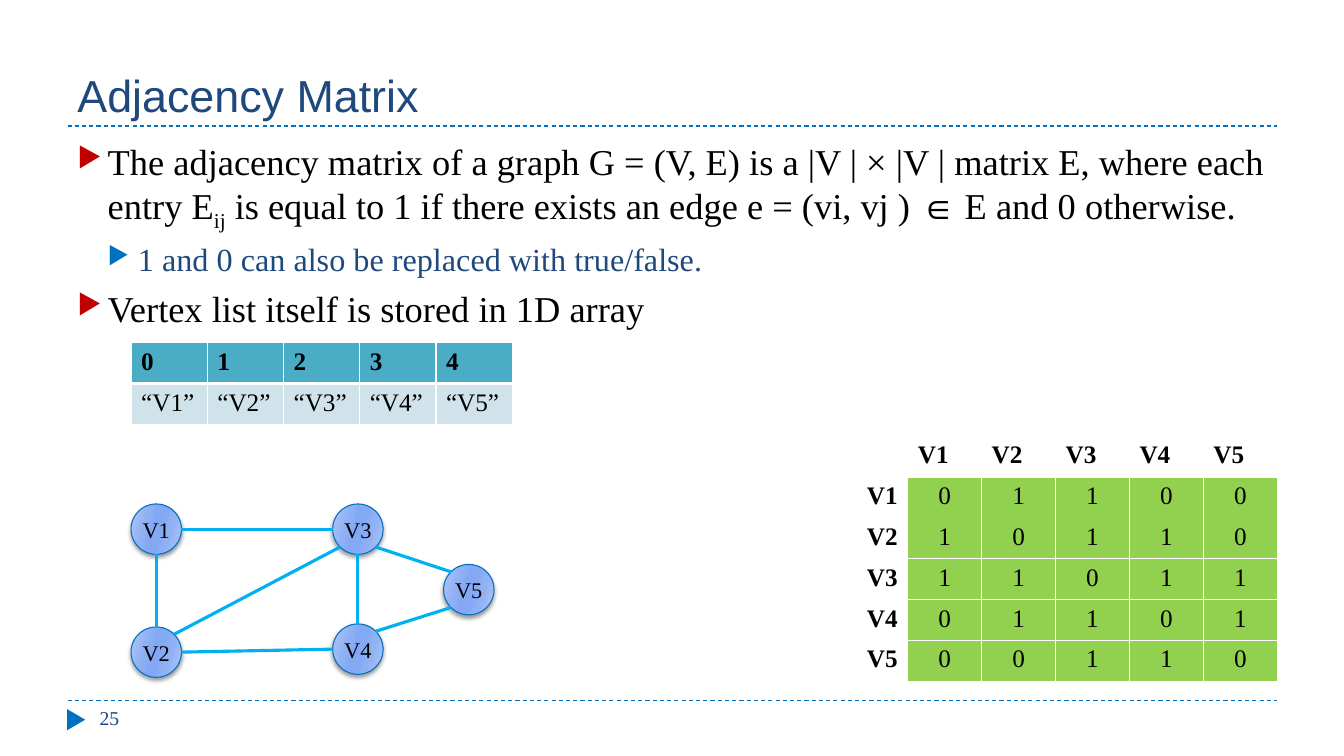
"""Build the slide that explains the adjacency matrix of a graph."""
from dataclasses import dataclass

import lxml.etree
import pptx
import pptx.dml.color
import pptx.enum.dml
import pptx.enum.shapes
import pptx.enum.text
import pptx.oxml
import pptx.oxml.ns
import pptx.util

Inches = pptx.util.Inches
Align = pptx.enum.text.PP_ALIGN
Anchor = pptx.enum.text.MSO_ANCHOR
Shape = pptx.enum.shapes.MSO_SHAPE

COLORS = {
    "rule": "0070C0", "heading": "1F497D", "text": "000000", "bullet": "C00000",
    "edge": "00B0F0", "matrix": "92D050", "index": "4BACC6", "vertex": "D0E3EA",
    "border": "FFFFFF",
}
NODE_STOPS = {0: "B4C9F6", 30: "90B1F4", 45: "83A9F4", 55: "83A9F4", 73: "90B1F4", 100: "B4C9F6"}
SERIF = "Times New Roman"
DIAMETER = 0.5
DIAGONAL = 0.7071
ROW_HEIGHT = 0.405


@dataclass(frozen=True)
class Node:
    left: float
    top: float

    def point(self, across: float, down: float) -> tuple[float, float]:
        radius = DIAMETER / 2
        return self.left + radius * (1 + across), self.top + radius * (1 + down)


@dataclass(frozen=True)
class Edge:
    start: str
    start_side: tuple[float, float]
    end: str
    end_side: tuple[float, float]


@dataclass(frozen=True)
class Bullet:
    spans: tuple[tuple[str, int], ...]
    size: float = 26
    color: str = "text"
    mark: str = "bullet"
    level: int = 0
    space: float = 6


NODES = {
    "V1": Node(1.3, 5), "V2": Node(1.3, 6.22), "V3": Node(3.3, 5),
    "V4": Node(3.3, 6.19), "V5": Node(4.4, 5.6),
}
UP, DOWN, LEFT, RIGHT = (0, -1), (0, 1), (-1, 0), (1, 0)
UP_LEFT, UP_RIGHT = (-DIAGONAL, -DIAGONAL), (DIAGONAL, -DIAGONAL)
DOWN_LEFT, DOWN_RIGHT = (-DIAGONAL, DIAGONAL), (DIAGONAL, DIAGONAL)
EDGES = (
    Edge("V3", LEFT, "V1", RIGHT), Edge("V4", LEFT, "V2", RIGHT),
    Edge("V5", DOWN_LEFT, "V4", UP_RIGHT), Edge("V1", DOWN, "V2", UP),
    Edge("V3", DOWN_LEFT, "V2", UP_RIGHT), Edge("V5", UP_LEFT, "V3", DOWN_RIGHT),
    Edge("V4", UP, "V3", DOWN),
)
BULLETS = (
    Bullet((
        ("The adjacency matrix of a graph G = (V, E) is a |V | × |V | matrix E, where each entry E", 0),
        ("ij", -25),
        (" is equal to 1 if there exists an edge e = (vi, vj ) ∈ E and 0 otherwise.", 0),
    ), space=0),
    Bullet((("1 and 0 can also be replaced with true/false.", 0),), 23, "heading", "rule", 1, 5),
    Bullet((("Vertex list itself is stored in 1D array", 0),)),
)
MATRIX = ("01100", "10110", "11011", "01101", "00110")


def rgb(name: str) -> pptx.dml.color.RGBColor:
    return pptx.dml.color.RGBColor.from_string(COLORS[name])


def parse_xml(markup: str) -> lxml.etree._Element:
    head, tail = markup.split(">", 1)
    space = pptx.oxml.ns.nsdecls("a")
    opening = f"{head[:-1]} {space}/>" if head.endswith("/") else f"{head} {space}>"
    return pptx.oxml.parse_xml(opening + tail)


def add_span(para, text: str, *, size: float, color: str = "text", font: str = SERIF,
             bold: bool = False, baseline: int = 0, align: Align = Align.LEFT) -> None:
    para.alignment = align
    span = para.add_run()
    span.text = text
    span.font.size = pptx.util.Pt(size)
    span.font.name = font
    span.font.bold = bold
    span.font.color.rgb = rgb(color)
    if baseline:
        span.font._element.set("baseline", str(baseline * 1000))


def add_box(page, left: float, top: float, width: float, height: float, anchor: Anchor = Anchor.TOP):
    frame = page.shapes.add_textbox(Inches(left), Inches(top), Inches(width), Inches(height)).text_frame
    frame.word_wrap = True
    frame.vertical_anchor = anchor
    return frame


def add_line(shapes, start: tuple[float, float], end: tuple[float, float],
             color: str, weight: float, dashed: bool = False) -> None:
    line = shapes.add_connector(pptx.enum.shapes.MSO_CONNECTOR.STRAIGHT,
                                *(Inches(value) for value in (*start, *end)))
    line.line.color.rgb = rgb(color)
    line.line.width = pptx.util.Pt(weight)
    if dashed:
        line.line.dash_style = pptx.enum.dml.MSO_LINE.DASH
    line._element.spPr.append(parse_xml("<a:effectLst/>"))


def add_bullets(page) -> None:
    frame = add_box(page, 0.67, 1.33, 12, 5.4)
    for number, bullet in enumerate(BULLETS):
        para = frame.add_paragraph() if number else frame.paragraphs[0]
        para.level = bullet.level
        para.space_before = pptx.util.Pt(bullet.space)
        layout = para._p.get_or_add_pPr()
        layout.set("marL", str(Inches(0.3 * (bullet.level + 1))))
        layout.set("indent", str(Inches(-0.3)))
        for markup in (f'<a:buClr><a:srgbClr val="{COLORS[bullet.mark]}"/></a:buClr>',
                       '<a:buSzPct val="76000"/>', '<a:buChar char="▶"/>'):
            layout.append(parse_xml(markup))
        for text, baseline in bullet.spans:
            add_span(para, text, size=bullet.size, color=bullet.color, baseline=baseline)


def add_node(shapes, name: str, node: Node) -> None:
    circle = shapes.add_shape(Shape.OVAL, Inches(node.left), Inches(node.top),
                              Inches(DIAMETER), Inches(DIAMETER))
    circle.line.color.rgb = rgb("rule")
    circle.line.width = pptx.util.Pt(0.75)
    circle.shadow.inherit = False
    properties = circle._element.spPr
    stops = "".join(f'<a:gs pos="{place * 1000}"><a:srgbClr val="{color}"/></a:gs>'
                    for place, color in NODE_STOPS.items())
    properties.insert(2, parse_xml(f'<a:gradFill><a:gsLst>{stops}</a:gsLst><a:lin ang="960000"/></a:gradFill>'))
    properties.find(pptx.oxml.ns.qn("a:effectLst")).append(parse_xml(
        '<a:outerShdw blurRad="38100" dist="25400" dir="5400000" rotWithShape="0">'
        '<a:srgbClr val="000000"><a:alpha val="40000"/></a:srgbClr></a:outerShdw>'))
    circle.text_frame.word_wrap = False
    circle.text_frame.vertical_anchor = Anchor.MIDDLE
    add_span(circle.text_frame.paragraphs[0], name, size=16, align=Align.CENTER)


def add_grid(page, left: float, top: float, width: float, rows: int, columns: int):
    grid = page.shapes.add_table(rows, columns, Inches(left), Inches(top), Inches(width),
                                 Inches(ROW_HEIGHT * rows)).table
    grid.first_row = grid.horz_banding = False
    return grid


def fill_cell(cell, text: str, *, fill: str = "", bold: bool = False, align: Align = Align.LEFT,
              top: float = 1, bottom: float = 1) -> None:
    for side, weight in (("L", 1), ("R", 1), ("T", top), ("B", bottom)):
        paint = f'<a:solidFill><a:srgbClr val="{COLORS["border"]}"/></a:solidFill>' if weight else "<a:noFill/>"
        cell._tc.get_or_add_tcPr().append(parse_xml(f'<a:ln{side} w="{weight * 12700}">{paint}</a:ln{side}>'))
    if fill:
        cell.fill.solid()
        cell.fill.fore_color.rgb = rgb(fill)
    else:
        cell.fill.background()
    add_span(cell.text_frame.paragraphs[0], text, size=18, bold=bold, align=align)


def main() -> None:
    deck = pptx.Presentation()
    deck.slide_width, deck.slide_height = Inches(13.33), Inches(7.5)
    page = deck.slides.add_slide(deck.slide_layouts[6])
    for height in (6.95, 1.25):
        add_line(page.shapes, (0.67, height), (12.67, height), "rule", 0.75, dashed=True)
    marker = page.shapes.add_shape(Shape.ISOSCELES_TRIANGLE, Inches(0.65), Inches(7.05), Inches(0.21), Inches(0.18))
    marker.rotation = 90
    marker.shadow.inherit = False
    marker.fill.solid()
    marker.fill.fore_color.rgb = rgb("rule")
    marker.line.fill.background()
    title = add_box(page, 0.67, 0.17, 12, 1.08, Anchor.BOTTOM)
    add_span(title.paragraphs[0], "Adjacency Matrix", size=32, color="heading", font="Arial")
    add_span(add_box(page, 0.89, 6.95, 2.89, 0.4).paragraphs[0], "25", size=14, color="heading")
    add_bullets(page)
    matrix = add_grid(page, 8.27, 4.33, 4.4, 6, 6)
    fill_cell(matrix.cell(0, 0), "")
    for row, (name, values) in enumerate(zip(NODES, MATRIX), 1):
        fill_cell(matrix.cell(0, row), name, bold=True)
        fill_cell(matrix.cell(row, 0), name, bold=True, align=Align.RIGHT)
        for column, value in enumerate(values, 1):
            fill_cell(matrix.cell(row, column), value, fill="matrix", align=Align.CENTER,
                      top=int(row != 2), bottom=int(row != 1))
    graph = page.shapes.add_group_shape().shapes
    for name, node in NODES.items():
        add_node(graph, name, node)
    for edge in EDGES:
        add_line(graph, NODES[edge.start].point(*edge.start_side), NODES[edge.end].point(*edge.end_side), "edge", 2.25)
    array = add_grid(page, 1.3, 3.4, 3.78, 2, 5)
    for column, name in enumerate(NODES):
        fill_cell(array.cell(0, column), str(column), fill="index", bold=True, bottom=3)
        fill_cell(array.cell(1, column), f"“{name}”", fill="vertex", top=3)
    deck.save("out.pptx")


if __name__ == "__main__":
    main()
